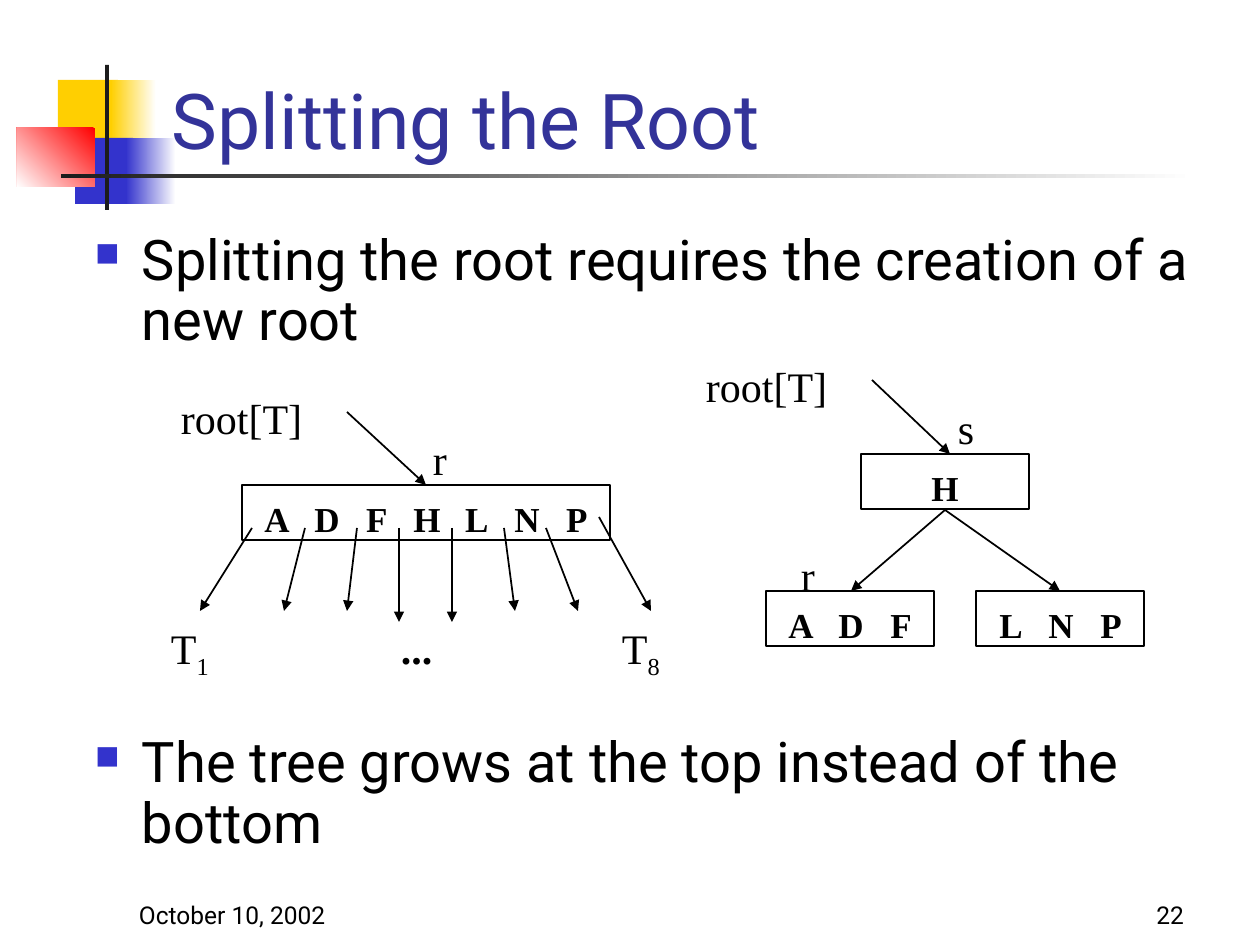
from lxml import etree
from pptx import Presentation
from pptx import util as u
from pptx.dml.color import RGBColor
from pptx.enum import shapes, text
from pptx.oxml import ns

SCALE = u.Inches(1) / 126
BLACK = RGBColor(0x00, 0x00, 0x00)
WHITE = RGBColor(0xFF, 0xFF, 0xFF)
CHARCOAL = RGBColor(0x1C, 0x1C, 0x1C)
YELLOW = RGBColor(0xFF, 0xCF, 0x01)
BLUE = RGBColor(0x33, 0x33, 0xCC)
RED = RGBColor(0xFF, 0x00, 0x00)
INDIGO = RGBColor(0x33, 0x33, 0x99)
SERIF = "Times New Roman"
SANS = "Roboto"
LEFT, CENTER, RIGHT = text.PP_ALIGN.LEFT, text.PP_ALIGN.CENTER, text.PP_ALIGN.RIGHT
TOP, BOTTOM = text.MSO_ANCHOR.TOP, text.MSO_ANCHOR.BOTTOM


def px(*lengths):
    return [round(length * SCALE) for length in lengths]


def write(box, words, size, name=SERIF, color=BLACK, bold=False, align=LEFT, anchor=TOP, inset=12):
    frame = box.text_frame
    margin = px(13)[0]
    frame_format = {"word_wrap": True, "auto_size": text.MSO_AUTO_SIZE.NONE, "vertical_anchor": anchor,
                    "margin_left": margin, "margin_right": margin,
                    "margin_top": px(inset)[0], "margin_bottom": px(6)[0]}
    for key, value in frame_format.items():
        setattr(frame, key, value)
    para = frame.paragraphs[0]
    para.alignment = align
    for index, line in enumerate(words):
        if index:
            para = frame.add_paragraph()
        span = para.add_run()
        span.text = line
        for key, value in {"size": u.Pt(size), "name": name, "bold": bold}.items():
            setattr(span.font, key, value)
        span.font.color.rgb = color
    return frame


deck = Presentation()
deck.slide_width, deck.slide_height = px(1260, 945)
page = deck.slides.add_slide(deck.slide_layouts[5])

ornaments = [
    ((58, 80, 60, 66), [YELLOW], 0),
    ((111, 80, 45, 66), [WHITE, YELLOW], 180),
    ((75, 138, 58, 66), [BLUE], 0),
    ((126, 138, 50, 66), [WHITE, BLUE], 180),
    ((17, 128, 78, 59), [RED, WHITE], 225),
    ((105, 65, 4, 145), [CHARCOAL], 0),
    ((61, 174, 1134, 4), [WHITE, CHARCOAL], 180),
]
for place, colors, angle in ornaments:
    block = page.shapes.add_shape(shapes.MSO_SHAPE.RECTANGLE, *px(*place))
    block.shadow.inherit = False
    block.line.fill.background()
    if len(colors) == 1:
        block.fill.solid()
        block.fill.fore_color.rgb = colors[0]
    else:
        block.fill.gradient()
        block.fill.gradient_angle = angle
        for stop, color in zip(block.fill.gradient_stops, colors):
            stop.color.rgb = color

title = page.shapes.title
title.left, title.top, title.width, title.height = px(159, 14, 1074, 157)
write(title, ["Splitting the Root"], 44, SANS, INDIGO, anchor=BOTTOM, inset=6)
page.shapes._spTree.append(title._element)

body = page.shapes.add_textbox(*px(82, 226, 1152, 660))
points = ["Splitting the root requires the creation of a new root",
          "The tree grows at the top instead of the bottom"]
frame = write(body, points, 32, SANS, inset=6)
for para, space in zip(frame.paragraphs, (8, 218)):
    para.line_spacing = 0.9
    para.space_before = u.Pt(space)
    props = para._p.get_or_add_pPr()
    indent = px(47)[0]
    props.set("marL", str(indent))
    props.set("indent", str(-indent))
    color = etree.SubElement(props, ns.qn("a:buClr"))
    etree.SubElement(color, ns.qn("a:srgbClr"), val=str(BLUE))
    etree.SubElement(props, ns.qn("a:buSzPct"), val="60000")
    etree.SubElement(props, ns.qn("a:buChar"), char="■")

nodes = [
    ("ADFHLNP", 242, 485, 368),
    ("ADF", 766, 591, 168),
    ("LNP", 976, 591, 168),
    ("H", 861, 454, 168),
]
for keys, left, top, width in nodes:
    node = page.shapes.add_shape(shapes.MSO_SHAPE.RECTANGLE, *px(left, top, width, 55))
    node.shadow.inherit = False
    node.fill.background()
    node.line.color.rgb = BLACK
    node.line.width = u.Pt(1)
    if len(keys) == 1:
        write(node, [keys], 20, bold=True, align=CENTER)
        continue
    frame = write(node, ["\t" + "\t".join(keys)], 20, bold=True)
    stops = etree.SubElement(frame.paragraphs[0]._p.get_or_add_pPr(), ns.qn("a:tabLst"))
    for column in range(len(keys)):
        stop = px(22 + 50 * column)[0]
        etree.SubElement(stops, ns.qn("a:tab"), pos=str(stop), algn="ctr")

arrows = [
    (347, 412, 426, 485),
    (252, 528, 200, 611),
    (305, 528, 284, 611),
    (357, 528, 347, 611),
    (399, 528, 399, 622),
    (452, 528, 452, 622),
    (504, 528, 515, 611),
    (546, 528, 578, 611),
    (599, 517, 651, 611),
    (945, 510, 851, 591),
    (945, 510, 1060, 591),
    (872, 380, 950, 454),
]
for ends in arrows:
    arrow = page.shapes.add_connector(shapes.MSO_CONNECTOR.STRAIGHT, *px(*ends))
    arrow.line.color.rgb = BLACK
    arrow.line.width = u.Pt(1)
    etree.SubElement(arrow.line._get_or_add_ln(), ns.qn("a:tailEnd"), type="triangle")
    etree.SubElement(arrow._element.spPr, ns.qn("a:effectLst"))

labels = [
    ("root[T]", 168, 381, 179),
    ("r", 420, 422, 73),
    ("root[T]", 693, 349, 179),
    ("s", 945, 391, 73),
    ("r", 788, 538, 73),
    ("...", 388, 611, 73),
    ("T1", 158, 611, 73),
    ("T8", 609, 611, 73),
]
for words, left, top, width in labels:
    label = page.shapes.add_textbox(*px(left, top, width, 63))
    subtree = words in ("T1", "T8")
    frame = write(label, [words[0] if subtree else words], 24, bold=words == "...")
    if subtree:
        span = frame.paragraphs[0].add_run()
        span.text = words[1]
        for key, value in {"size": u.Pt(24), "name": SERIF}.items():
            setattr(span.font, key, value)
        span.font.color.rgb = BLACK
        span._r.get_or_add_rPr().set("baseline", "-25000")

for words, left, align in [("22", 935, RIGHT), ("October 10, 2002", 126, LEFT)]:
    footer = page.shapes.add_textbox(*px(left, 872, 262, 63))
    write(footer, [words], 14, SANS, align=align, anchor=BOTTOM, inset=6)

deck.save("out.pptx")
